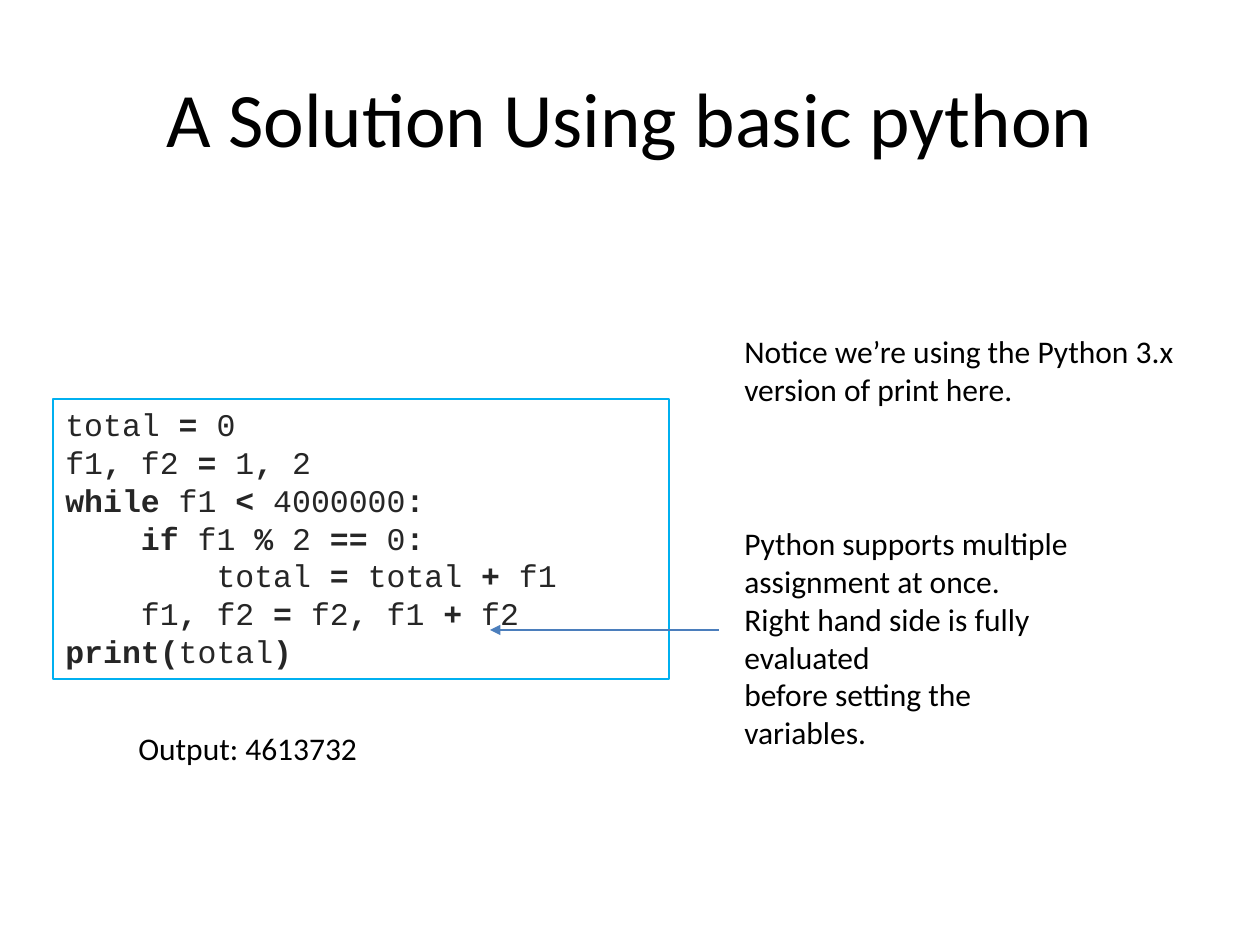
from lxml import etree
from pptx import Presentation
from pptx.dml.color import RGBColor
from pptx.enum.shapes import MSO_CONNECTOR, MSO_SHAPE
from pptx.enum.text import MSO_ANCHOR, MSO_AUTO_SIZE, PP_ALIGN
from pptx.oxml.ns import qn
from pptx.util import Emu, Pt

PX = 914400 // 126
RECT = MSO_SHAPE.RECTANGLE
STRAIGHT = MSO_CONNECTOR.STRAIGHT
TOP, MIDDLE = MSO_ANCHOR.TOP, MSO_ANCHOR.MIDDLE
LEFT, CENTER = PP_ALIGN.LEFT, PP_ALIGN.CENTER
GROW = MSO_AUTO_SIZE.SHAPE_TO_FIT_TEXT

COLORS = {"text": "000000", "code": "262626", "frame": "00B0F0", "arrow": "4B7EBC"}

# Asterisks switch bold on and off
CODE = [
    "total *=* 0",
    "f1*,* f2 *=* 1*,* 2",
    "*while *f1 *<* 4000000*:*",
    "*    if *f1 *%* 2 *==* 0*:*",
    "        total *=* total *+ *f1",
    "    f1*,* f2 *=* f2*,* f1 *+* f2",
    "*print(*total*)*",
]


def px(*values):
    return [Emu(v * PX) for v in values]


def color(name):
    return RGBColor.from_string(COLORS[name])


def style(p, size, font="Calibri", name="text", align=LEFT):
    p.alignment = align
    p.font.size = Pt(size)
    p.font.name = font
    p.font.color.rgb = color(name)


def paragraphs(tf, count):
    return [tf.paragraphs[0]] + [tf.add_paragraph() for _ in range(count - 1)]


def add_title(s, text, box):
    title = s.shapes.title
    title.left, title.top, title.width, title.height = px(*box)
    tf = title.text_frame
    tf.text = text
    tf.vertical_anchor = MIDDLE
    style(tf.paragraphs[0], 44, align=CENTER)


def add_note(s, lines, box, wrap=True):
    tf = s.shapes.add_textbox(*px(*box)).text_frame
    tf.word_wrap = wrap
    tf.auto_size = GROW
    for p, line in zip(paragraphs(tf, len(lines)), lines):
        p.text = line
        style(p, 18)


def add_code(s, lines, box):
    sp = s.shapes.add_shape(RECT, *px(*box))
    sp.shadow.inherit = False
    sp.fill.background()
    sp.line.color.rgb = color("frame")
    sp.line.width = Pt(0.75)
    tf = sp.text_frame
    tf.word_wrap = True
    tf.auto_size = GROW
    tf.vertical_anchor = TOP
    for p, line in zip(paragraphs(tf, len(lines)), lines):
        style(p, 18, "Courier New", "code")
        for i, part in enumerate(line.split("*")):
            if part:
                r = p.add_run()
                r.text = part
                r.font.bold = i % 2 == 1


def add_arrow(s, start, end):
    line = s.shapes.add_connector(STRAIGHT, *px(*start, *end))
    line.line.color.rgb = color("arrow")
    line.line.width = Pt(0.75)
    etree.SubElement(line.line._get_or_add_ln(), qn("a:tailEnd"), type="triangle")
    etree.SubElement(line._element.spPr, qn("a:effectLst"))


def main():
    prs = Presentation()
    prs.slide_width, prs.slide_height = px(1260, 945)
    s = prs.slides.add_slide(prs.slide_layouts[5])

    add_title(s, "A Solution Using basic python", (63, 38, 1134, 157))

    # Program
    add_code(s, CODE, (53, 399, 616, 280))

    # Remarks beside the program
    add_note(s, ["Notice we’re using the Python 3.x \vversion of print here."],
             (732, 326, 630, 89))
    add_note(s, ["Python supports multiple", "assignment at once.",
                 "Right hand side is fully evaluated",
                 "before setting the variables."], (732, 518, 379, 242))
    add_arrow(s, (719, 630), (490, 630))

    # Result
    add_note(s, ["Output: 4613732"], (126, 723, 255, 50), wrap=False)

    prs.save("out.pptx")


if __name__ == "__main__":
    main()
